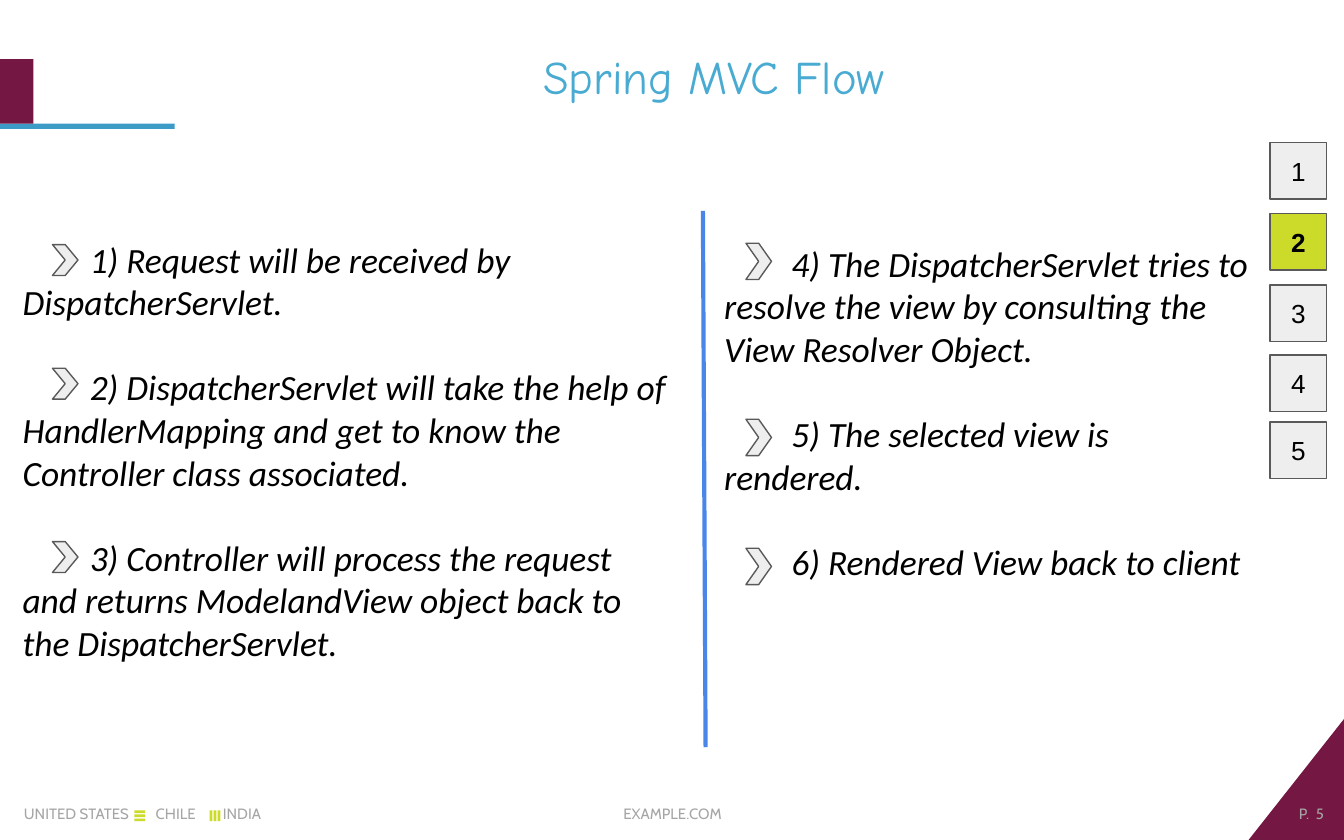
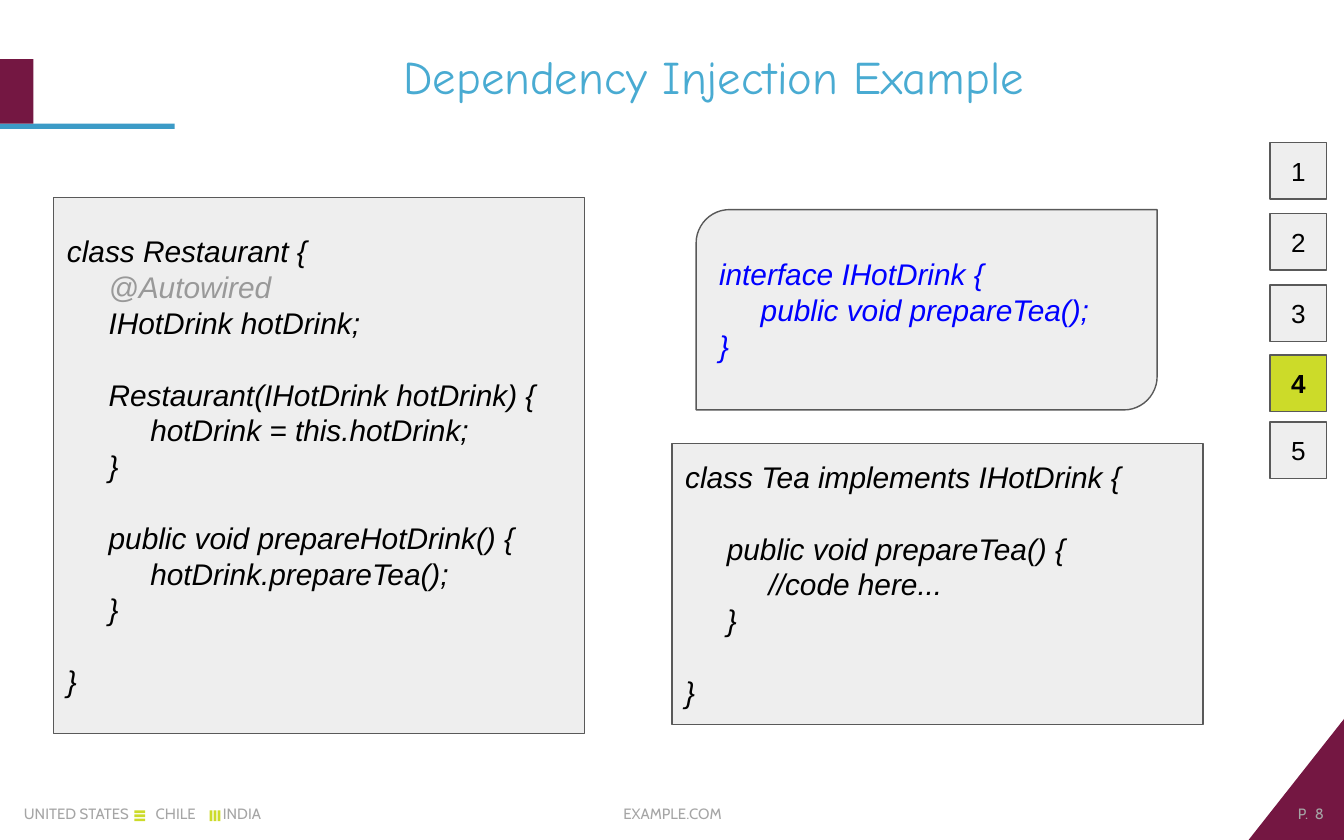
from lxml.etree import SubElement
from pptx import Presentation
from pptx.dml.color import RGBColor
from pptx.enum.shapes import MSO_CONNECTOR, MSO_SHAPE as SHAPE
from pptx.enum.text import MSO_ANCHOR as ANCHOR, PP_ALIGN as ALIGN
from pptx.oxml.ns import qn
from pptx.util import Inches, Pt

PLUM = RGBColor(0x74, 0x17, 0x42)
BLUE = RGBColor(0x3C, 0x9B, 0xC7)
TITLE_BLUE = RGBColor(0x49, 0xAB, 0xD2)
DIVIDER_BLUE = RGBColor(0x4A, 0x86, 0xE8)
CODE_BLUE = RGBColor(0x00, 0x00, 0xFF)
LIME = RGBColor(0xCC, 0xDB, 0x29)
BLACK = RGBColor(0x00, 0x00, 0x00)
OUTLINE = RGBColor(0x59, 0x59, 0x59)
ANNOTATION_GREY = RGBColor(0x99, 0x99, 0x99)
FOOTER_GREY = RGBColor(0xA5, 0xA5, 0xA5)
PALE_GREY = RGBColor(0xEE, 0xEE, 0xEE)

TITLE_ONLY = 5
LINE_HEIGHT = 1.2
BODY_SIZE = 19
CODE_SIZE = 16
CODE_INDENT = 0.31
TAB_TOPS = (1.06, 1.59, 2.12, 2.64, 3.14)

LEFT_STEPS = (
    "1) Request will be received by DispatcherServlet.",
    "2) DispatcherServlet will take the help of HandlerMapping and get to know "
    "the Controller class associated.",
    "3) Controller will process the request and returns ModelandView object "
    "back to the DispatcherServlet.",
)
RIGHT_STEPS = (
    "4) The DispatcherServlet tries to resolve the view by consulting the "
    "View Resolver Object.",
    "5) The selected view is\vrendered.",
    "6) Rendered View back to client",
)

RESTAURANT_CODE = """class Restaurant {
    @Autowired
    IHotDrink hotDrink;

    Restaurant(IHotDrink hotDrink) {
        hotDrink = this.hotDrink;
    }

    public void prepareHotDrink() {
        hotDrink.prepareTea();
    }

}"""
INTERFACE_CODE = """interface IHotDrink {
    public void prepareTea();
}"""
TEA_CODE = """class Tea implements IHotDrink {

    public void prepareTea() {
        //code here...
    }

}"""


def box(left, top, width, height):
    return Inches(left), Inches(top), Inches(width), Inches(height)


def format_runs(paragraph, font_name, size, color, bold=False, italic=False):
    for run in paragraph.runs:
        font = run.font
        font.name, font.size = font_name, Pt(size)
        font.bold, font.italic = bold, italic
        font.color.rgb = color


def set_margins(text_frame, horizontal, vertical):
    text_frame.margin_left = text_frame.margin_right = Inches(horizontal)
    text_frame.margin_top = text_frame.margin_bottom = Inches(vertical)
    text_frame.word_wrap = True


def add_shape(shapes, kind, place, fill, outlined=False):
    shape = shapes.add_shape(kind, *box(*place))
    shape.shadow.inherit = False
    shape.fill.solid()
    shape.fill.fore_color.rgb = fill
    if outlined:
        shape.line.color.rgb = OUTLINE
        shape.line.width = Pt(0.75)
    else:
        shape.line.fill.background()
    return shape


def add_footer_text(slide, place, text, align=ALIGN.LEFT, tab_stops=()):
    text_frame = slide.shapes.add_textbox(*box(*place)).text_frame
    set_margins(text_frame, 0.1, 0.05)
    paragraph = text_frame.paragraphs[0]
    paragraph.text = text
    paragraph.alignment = align
    format_runs(paragraph, "Cabin", 8, FOOTER_GREY)
    if tab_stops:
        tab_list = SubElement(paragraph._p.get_or_add_pPr(), qn("a:tabLst"))
        for stop in tab_stops:
            SubElement(tab_list, qn("a:tab"), pos=str(Inches(stop)), algn="l")


def add_frame(slide, page):
    """Corner marks and footer found on every slide."""
    shapes = slide.shapes
    corner = add_shape(shapes, SHAPE.ISOSCELES_TRIANGLE, (9.29, 5.35, 0.71, 0.9), PLUM)
    corner.adjustments[0] = 1
    add_shape(shapes, SHAPE.RECTANGLE, (-0.01, 0.92, 1.31, 0.04), BLUE)
    add_shape(shapes, SHAPE.RECTANGLE, (-0.01, 0.44, 0.26, 0.48), PLUM)

    add_footer_text(slide, (0.08, 5.94, 2.67, 0.29), "UNITED STATES\tCHILE\tINDIA",
                    tab_stops=(0.98, 1.48))
    add_footer_text(slide, (3.67, 5.94, 2.67, 0.29), "EXAMPLE.COM", ALIGN.CENTER)
    add_footer_text(slide, (8.56, 5.94, 1.39, 0.29), f"P.  {page}", ALIGN.RIGHT)

    flat_bars = shapes.add_group_shape().shapes
    upright_bars = shapes.add_group_shape().shapes
    for index in range(3):
        offset = 0.03 * index
        add_shape(flat_bars, SHAPE.RECTANGLE, (1, 6.03 + offset, 0.08, 0.02), LIME)
        add_shape(upright_bars, SHAPE.RECTANGLE, (1.56 + offset, 6.03, 0.02, 0.08), LIME)


def set_title(slide, text):
    title = slide.shapes.title
    title.left, title.top, title.width, title.height = box(1.32, 0.19, 7.98, 0.75)
    text_frame = title.text_frame
    text_frame.text = text
    text_frame.vertical_anchor = ANCHOR.MIDDLE
    set_margins(text_frame, 0.1, 0.05)
    paragraph = text_frame.paragraphs[0]
    paragraph.alignment = ALIGN.CENTER
    format_runs(paragraph, "Comic Neue", 25, TITLE_BLUE)


def add_section_tabs(slide, current):
    group = slide.shapes.add_group_shape()
    for number, top in enumerate(TAB_TOPS, start=1):
        active = number == current
        tab = add_shape(group.shapes, SHAPE.RECTANGLE, (9.45, top, 0.42, 0.42),
                        LIME if active else PALE_GREY, outlined=True)
        text_frame = tab.text_frame
        text_frame.text = str(number)
        text_frame.vertical_anchor = ANCHOR.MIDDLE
        set_margins(text_frame, 0.1, 0.1)
        paragraph = text_frame.paragraphs[0]
        paragraph.alignment = ALIGN.CENTER
        format_runs(paragraph, "Arial", 14, BLACK, bold=active)


def add_steps(slide, place, steps, chevron_left, chevron_tops, chevron_height):
    text_frame = slide.shapes.add_textbox(*box(*place)).text_frame
    set_margins(text_frame, 0.1, 0.1)
    line = Pt(BODY_SIZE * LINE_HEIGHT)
    for index, step in enumerate(steps):
        paragraph = text_frame.add_paragraph() if index else text_frame.paragraphs[0]
        paragraph.text = step
        paragraph.line_spacing = line
        paragraph.space_before = line if index else Pt(0)
        paragraph._p.get_or_add_pPr().set("indent", str(Inches(0.5)))
        format_runs(paragraph, "Calibri", BODY_SIZE, BLACK, italic=True)
    for top in chevron_tops:
        add_shape(slide.shapes, SHAPE.CHEVRON,
                  (chevron_left, top, 0.19, chevron_height), PALE_GREY, outlined=True)


def add_divider(slide):
    line = slide.shapes.add_connector(MSO_CONNECTOR.STRAIGHT, Inches(5.23), Inches(1.57),
                                      Inches(5.25), Inches(5.56))
    line.line.color.rgb = DIVIDER_BLUE
    line.line.width = Pt(2.25)
    SubElement(line._element.spPr, qn("a:effectLst"))


def add_code(slide, kind, place, code, color=BLACK):
    """Draw a code panel; blank source lines become space before the next line."""
    panel = add_shape(slide.shapes, kind, place, PALE_GREY, outlined=True)
    text_frame = panel.text_frame
    text_frame.vertical_anchor = ANCHOR.MIDDLE
    set_margins(text_frame, 0.1, 0.1)
    line_height = Pt(CODE_SIZE * LINE_HEIGHT)
    paragraph, gap = None, Pt(0)
    for line in code.splitlines():
        text = line.lstrip()
        if not text:
            gap = line_height
            continue
        paragraph = text_frame.add_paragraph() if paragraph else text_frame.paragraphs[0]
        paragraph.text = text
        paragraph.alignment = ALIGN.LEFT
        paragraph.line_spacing = line_height
        paragraph.space_before, gap = gap, Pt(0)
        level = (len(line) - len(text)) // 4
        paragraph._p.get_or_add_pPr().set("marL", str(Inches(CODE_INDENT * level)))
        text_color = ANNOTATION_GREY if text.startswith("@") else color
        format_runs(paragraph, "Arial", CODE_SIZE, text_color, italic=True)
    return panel


def add_slide(presentation, title, page, section):
    slide = presentation.slides.add_slide(presentation.slide_layouts[TITLE_ONLY])
    add_frame(slide, page)
    set_title(slide, title)
    add_section_tabs(slide, section)
    return slide


def add_flow_slide(presentation):
    slide = add_slide(presentation, "Spring MVC Flow", page=5, section=2)
    add_steps(slide, (5.29, 1.7, 4.18, 3.59), RIGHT_STEPS, 5.55, (1.81, 3.12, 4.08), 0.27)
    add_steps(slide, (0.07, 1.67, 5.04, 4.01), LEFT_STEPS, 0.39, (1.82, 2.74, 4.03), 0.23)
    add_divider(slide)


def add_injection_slide(presentation):
    slide = add_slide(presentation, "Dependency Injection Example", page=8, section=4)
    add_code(slide, SHAPE.RECTANGLE, (0.4, 1.47, 3.95, 3.99), RESTAURANT_CODE)
    add_code(slide, SHAPE.ROUND_2_DIAG_RECTANGLE, (5.18, 1.56, 3.43, 1.49),
             INTERFACE_CODE, CODE_BLUE)
    add_code(slide, SHAPE.RECTANGLE, (5, 3.3, 3.95, 2.09), TEA_CODE)


def main():
    presentation = Presentation()
    presentation.slide_width, presentation.slide_height = Inches(10), Inches(6.25)
    add_flow_slide(presentation)
    add_injection_slide(presentation)
    presentation.save("out.pptx")


if __name__ == "__main__":
    main()
